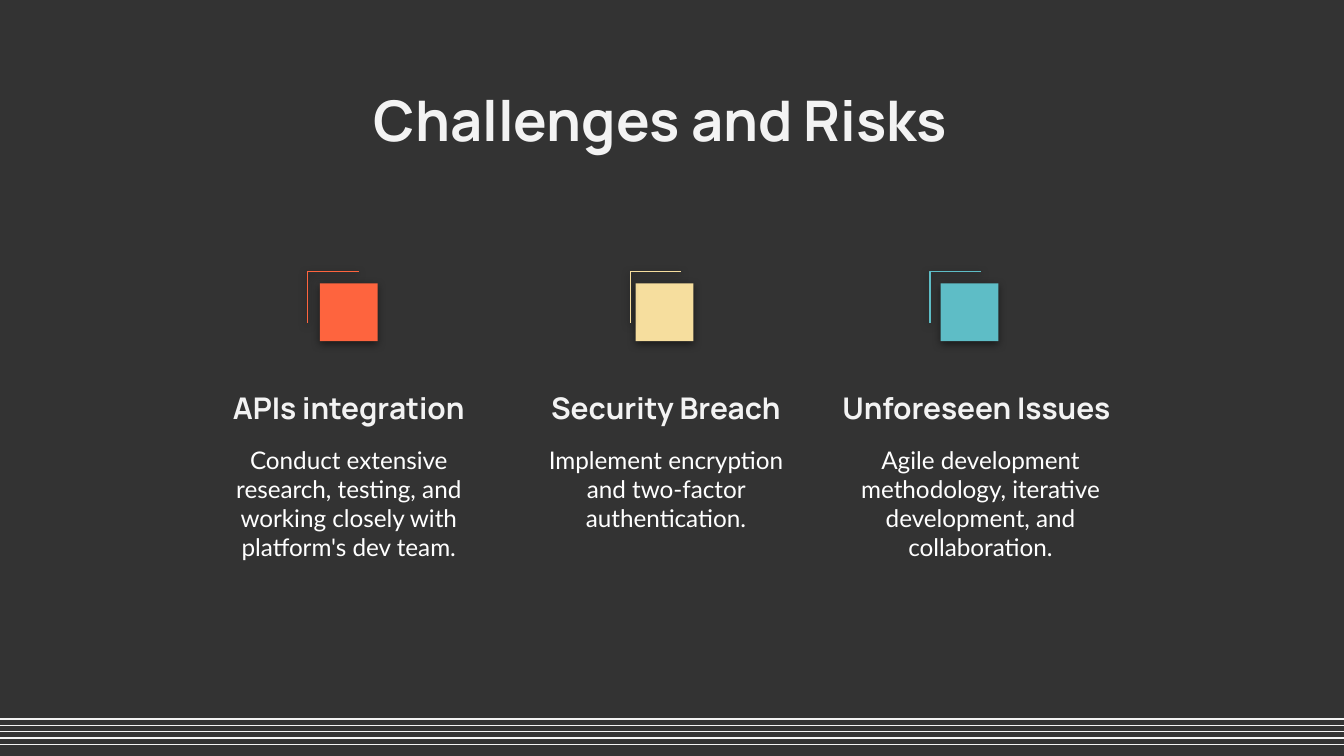
from lxml import etree
from pptx import Presentation
from pptx import util as u
from pptx.dml.color import RGBColor
from pptx.enum import shapes, text
from pptx.oxml import ns

W = 10
H = W * 9 / 16
COLORS = {
    "bg": "333333", "light": "F3F3F3", "white": "FFFFFF", "shadow": "000000",
    "orange": "FE643E", "cream": "F6DE9E", "teal": "5EBDC6",
}
TITLE = "Challenges and Risks"
RISKS = [
    {"head": "APIs integration", "color": "orange",
     "body": "Conduct extensive research, testing, and working closely with platform's dev team.",
     "x": 1.56, "head_x": 1.56, "head_w": 2.07, "square_x": 2.38, "corner_x": 2.29},
    {"head": "Security Breach", "color": "cream",
     "body": "Implement encryption and two-factor authentication.",
     "x": 3.92, "head_x": 3.92, "head_w": 2.07, "square_x": 4.73, "corner_x": 4.69},
    {"head": "Unforeseen Issues", "color": "teal",
     "body": "Agile development methodology, iterative development, and collaboration.",
     "x": 6.26, "head_x": 6.09, "head_w": 2.35, "square_x": 7, "corner_x": 6.92},
]
BODY_W, SQUARE, CORNER = 2.07, 0.43, 0.38
CORNER_Y, SQUARE_Y, HEAD_Y, BODY_Y = 2.02, 2.11, 2.8, 3.21
STRIPES, STRIPE_TOP, STRIPE_BOTTOM = 5, 5.35, 5.54


def rgb(name):
    return RGBColor.from_string(COLORS[name])


def add_shadow(sp):
    spPr = sp._element.spPr
    effects = etree.SubElement(spPr, ns.qn("a:effectLst"))
    outer = etree.SubElement(effects, ns.qn("a:outerShdw"), blurRad=str(u.Pt(4.5)),
                             dist=str(u.Pt(1.5)), dir="5400000", algn="bl", rotWithShape="0")
    color = etree.SubElement(outer, ns.qn("a:srgbClr"), val=COLORS["shadow"])
    etree.SubElement(color, ns.qn("a:alpha"), val="50000")


def set_line(sp, color):
    sp.line.color.rgb = rgb(color)
    sp.line.width = u.Pt(0.75)


def add_text(s, words, x, y, w, h, size, font, color, bold=False):
    tf = s.shapes.add_textbox(u.Inches(x), u.Inches(y), u.Inches(w), u.Inches(h)).text_frame
    tf.word_wrap = True
    tf.margin_left = tf.margin_right = tf.margin_top = tf.margin_bottom = u.Inches(0.1)
    p = tf.paragraphs[0]
    p.text = words
    p.alignment = text.PP_ALIGN.CENTER
    p.font.size, p.font.name, p.font.bold = u.Pt(size), font, bold
    p.font.color.rgb = rgb(color)
    return tf


def add_square(s, x, color):
    sp = s.shapes.add_shape(shapes.MSO_SHAPE.RECTANGLE, u.Inches(x), u.Inches(SQUARE_Y),
                            u.Inches(SQUARE), u.Inches(SQUARE))
    sp.fill.solid()
    sp.fill.fore_color.rgb = rgb(color)
    sp.line.fill.background()
    add_shadow(sp)


def add_corner(s, x, color):
    fb = s.shapes.build_freeform(u.Inches(x), u.Inches(CORNER_Y + CORNER))
    fb.add_line_segments([(u.Inches(x), u.Inches(CORNER_Y)),
                          (u.Inches(x + CORNER), u.Inches(CORNER_Y))], close=False)
    sp = fb.convert_to_shape()
    sp.fill.background()
    set_line(sp, color)
    add_shadow(sp)


def main():
    prs = Presentation()
    prs.slide_width, prs.slide_height = u.Inches(W), u.Inches(H)
    s = prs.slides.add_slide(prs.slide_layouts[6])
    s.background.fill.solid()
    s.background.fill.fore_color.rgb = rgb("bg")

    tf = add_text(s, TITLE, 0.78, 0.54, 8.44, 0.67, 30, "Manrope", "light", True)
    tf.margin_right = u.Inches(0.27)

    for risk in RISKS:
        add_text(s, risk["body"], risk["x"], BODY_Y, BODY_W, 0.7, 13, "Lato", "white")
        tf = add_text(s, risk["head"], risk["head_x"], HEAD_Y, risk["head_w"], 0.41,
                      16, "Manrope", "light", True)
        tf.paragraphs[0].space_after = u.Pt(16)
    for risk in RISKS:
        add_square(s, risk["square_x"], risk["color"])
    for risk in RISKS:
        add_corner(s, risk["corner_x"], risk["color"])

    gap = (STRIPE_BOTTOM - STRIPE_TOP) / (STRIPES - 1)
    for i in range(STRIPES):
        y = u.Inches(STRIPE_TOP + i * gap)
        stripe = s.shapes.add_connector(shapes.MSO_CONNECTOR.STRAIGHT, 0, y, u.Inches(W), y)
        set_line(stripe, "light")
        add_shadow(stripe)

    prs.save("out.pptx")


if __name__ == "__main__":
    main()
